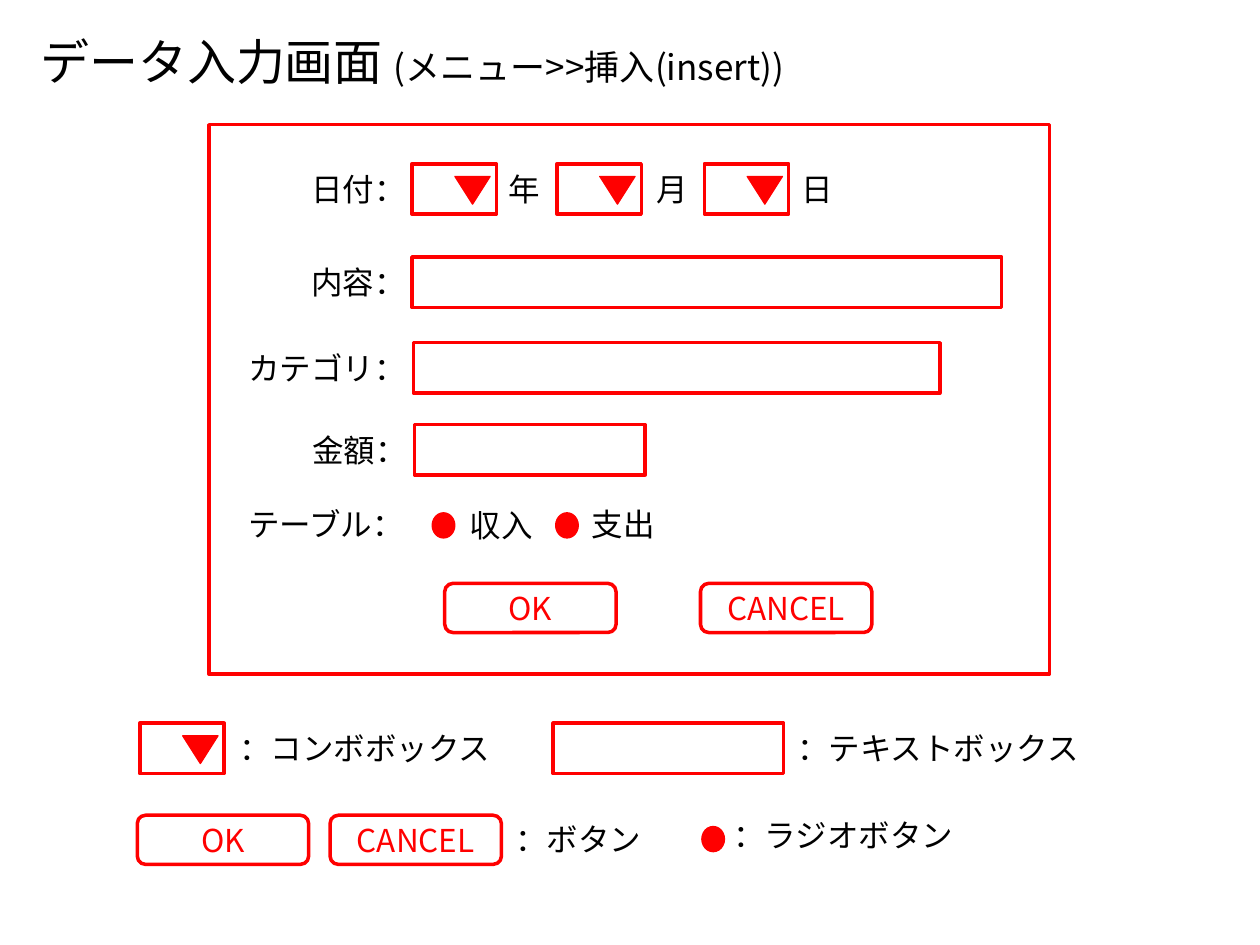
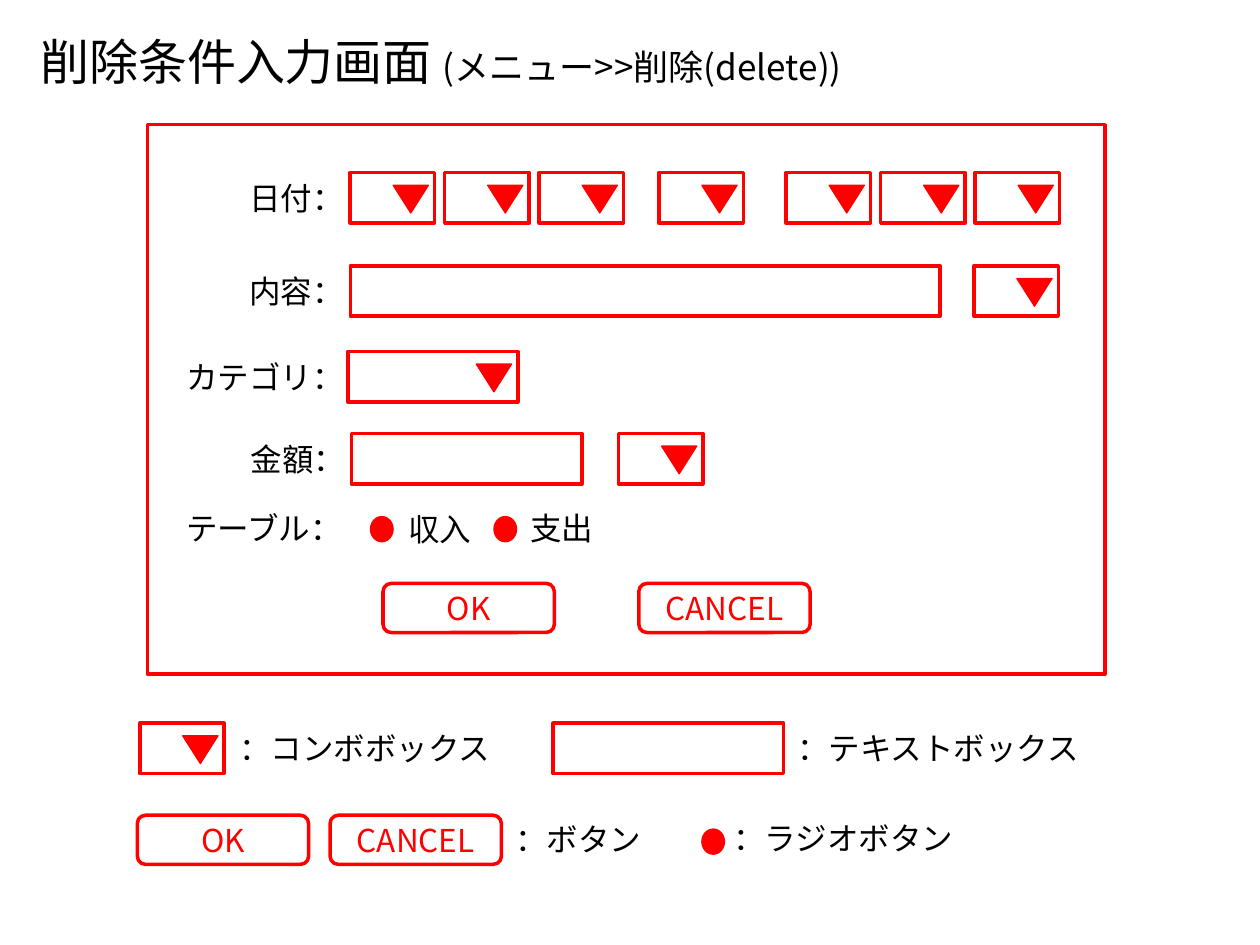
from pptx import Presentation
from pptx.dml.color import RGBColor
from pptx.enum.shapes import MSO_SHAPE
from pptx.enum.text import MSO_ANCHOR, MSO_AUTO_SIZE, PP_ALIGN
from pptx.util import Inches, Pt
from lxml import etree

FONT = "Noto Sans CJK JP"
RED, BLACK = "FF0000", "000000"
ROW_H = 0.4
A_NS = "{http://schemas.openxmlformats.org/drawingml/2006/main}"

LABEL_FRAME = {"word_wrap": False, "auto_size": MSO_AUTO_SIZE.SHAPE_TO_FIT_TEXT,
               "vertical_anchor": MSO_ANCHOR.TOP}
BUTTON_FRAME = {"word_wrap": True, "vertical_anchor": MSO_ANCHOR.MIDDLE}


def write(tf, runs, color, align, frame):
    for name, value in frame.items():
        setattr(tf, name, value)
    p = tf.paragraphs[0]
    p.alignment = align
    for text, size in runs:
        r = p.add_run()
        r.text = text
        for name, value in {"name": FONT, "size": Pt(size), "bold": False}.items():
            setattr(r.font, name, value)
        r.font.color.rgb = RGBColor.from_string(color)
        etree.SubElement(r.font._element, A_NS + "ea", typeface=FONT)


def add_shape(slide, kind, x, y, w, h, filled=False):
    sp = slide.shapes.add_shape(kind, Inches(x), Inches(y), Inches(w), Inches(h))
    sp.shadow.inherit = False
    if filled:
        sp.fill.solid()
        sp.fill.fore_color.rgb = RGBColor.from_string(RED)
    else:
        sp.fill.background()
    sp.line.color.rgb = RGBColor.from_string(RED)
    sp.line.width = Pt(0.75 if filled else 2)
    return sp


LEGEND = [
    ("combo", 1.11, 5.74, 0.67), ("label", 1.8, 5.74, "：コンボボックス"),
    ("field", 4.39, 5.74, 1.83), ("label", 6.23, 5.74, "：テキストボックス"),
    ("button", 1.09, 6.47, "OK"), ("button", 2.62, 6.47, "CANCEL"),
    ("label", 3.99, 6.46, "：ボタン"),
]
FORM_LABELS = [(2.37, 1.3, "日付："), (2.37, 2.04, "内容："),
               (1.87, 2.72, "カテゴリ："), (2.38, 3.37, "金額：")]
TABLE_ROW = [("label", 1.87, 3.96, "テーブル："),
             ("radio", 3.43, 4.07, None), ("label", 3.63, 3.97, "収入"),
             ("radio", 4.41, 4.07, None), ("label", 4.6, 3.96, "支出")]
BUTTONS = [("button", 3.53, 4.63, "OK"), ("button", 5.56, 4.63, "CANCEL")]

insert_fields = [("field", 3.27, 2.04, 4.68), ("field", 3.28, 2.72, 4.18),
                 ("field", 3.29, 3.37, 1.83)]
for x, unit_x, unit in [(3.27, 3.94, "年"), (4.42, 5.11, "月"), (5.59, 6.26, "日")]:
    insert_fields += [("combo", x, 1.3, 0.67), ("label", unit_x, 1.3, unit)]

delete_fields = [("field", 2.78, 2.11, 4.68), ("combo", 7.73, 2.11, 0.67),
                 ("combo", 2.76, 2.79, 1.35),
                 ("field", 2.79, 3.44, 1.83), ("combo", 4.91, 3.44, 0.67),
                 ("combo", 5.23, 1.37, 0.67)]
for start in (2.78, 6.24):
    delete_fields += [("combo", start + 0.75 * i, 1.37, 0.67) for i in range(3)]

SCREENS = [
    {"title": "データ入力画面 ", "menu": "(メニュー>>挿入(insert))", "title_w": 6.48,
     "panel": (1.66, 6.67), "dx": 0, "row_dy": 0, "table_dy": 0, "radio_dy": 0,
     "fields": insert_fields},
    {"title": "削除条件入力画面 ", "menu": "(メニュー>>削除(delete))", "title_w": 6.94,
     "panel": (1.17, 7.6), "dx": -0.49, "row_dy": 0.07, "table_dy": 0.03,
     "radio_dy": 0.02, "fields": delete_fields},
]

prs = Presentation()
prs.slide_width, prs.slide_height = Inches(10), Inches(7.5)

for screen in SCREENS:
    s = prs.slides.add_slide(prs.slide_layouts[5])
    title = s.shapes.title
    box = {"left": 0.22, "top": 0.2, "width": screen["title_w"], "height": 0.57}
    for name, value in box.items():
        setattr(title, name, Inches(value))
    write(title.text_frame, [(screen["title"], 28), (screen["menu"], 20)],
          BLACK, PP_ALIGN.LEFT, LABEL_FRAME)

    panel_x, panel_w = screen["panel"]
    add_shape(s, MSO_SHAPE.RECTANGLE, panel_x, 0.99, panel_w, 4.36)

    dx, radio_dy = screen["dx"], screen["radio_dy"]
    items = LEGEND + screen["fields"]
    items += [("radio", 5.57, 6.56 + radio_dy, None),
              ("label", 5.72, 6.43 + radio_dy, "：ラジオボタン")]
    items += [("label", x + dx, y + screen["row_dy"], text) for x, y, text in FORM_LABELS]
    items += [(kind, x + dx, y + screen["table_dy"], text) for kind, x, y, text in TABLE_ROW]
    items += [(kind, x + dx, y, text) for kind, x, y, text in BUTTONS]

    for kind, x, y, value in items:
        if kind == "label":
            width = 0.2 + 0.25 * len(value)
            sp = s.shapes.add_textbox(Inches(x), Inches(y), Inches(width), Inches(ROW_H))
            write(sp.text_frame, [(value, 18)], BLACK, PP_ALIGN.LEFT, LABEL_FRAME)
        elif kind == "button":
            sp = add_shape(s, MSO_SHAPE.ROUNDED_RECTANGLE, x, y, 1.36, 0.39)
            write(sp.text_frame, [(value, 18)], RED, PP_ALIGN.CENTER, BUTTON_FRAME)
        elif kind == "radio":
            add_shape(s, MSO_SHAPE.OVAL, x, y, 0.18, 0.2, filled=True)
        else:
            add_shape(s, MSO_SHAPE.RECTANGLE, x, y, value, ROW_H)
            if kind == "combo":
                arrow = add_shape(s, MSO_SHAPE.ISOSCELES_TRIANGLE,
                                  x + value - 0.33, y + 0.1, 0.28, 0.22, filled=True)
                arrow.rotation = 180

prs.save("out.pptx")
